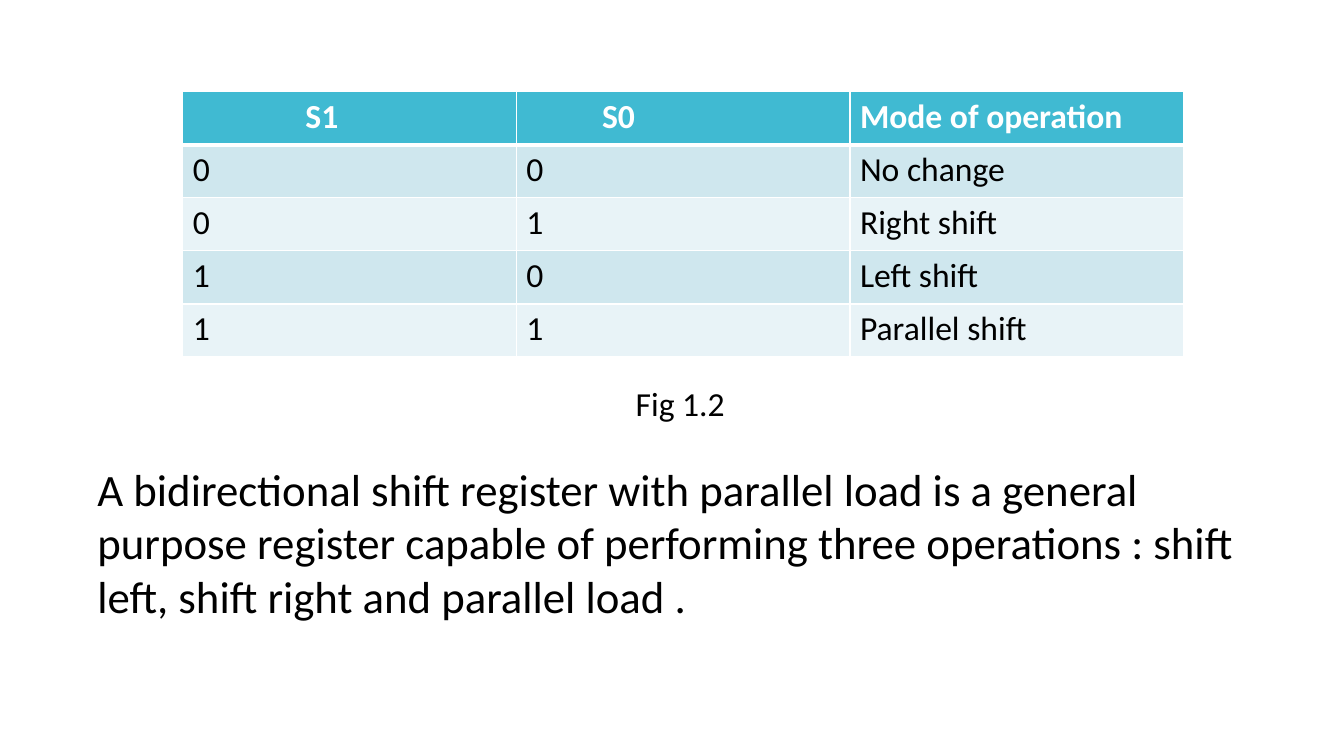
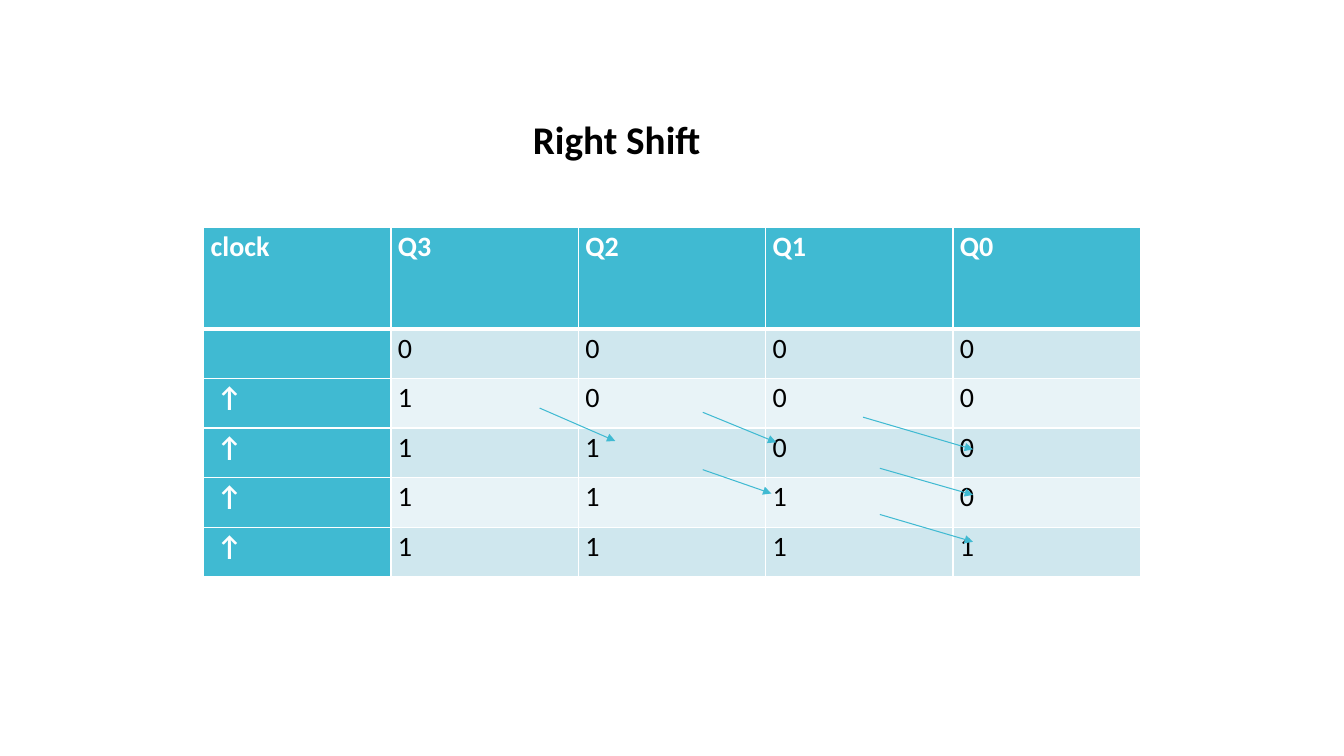
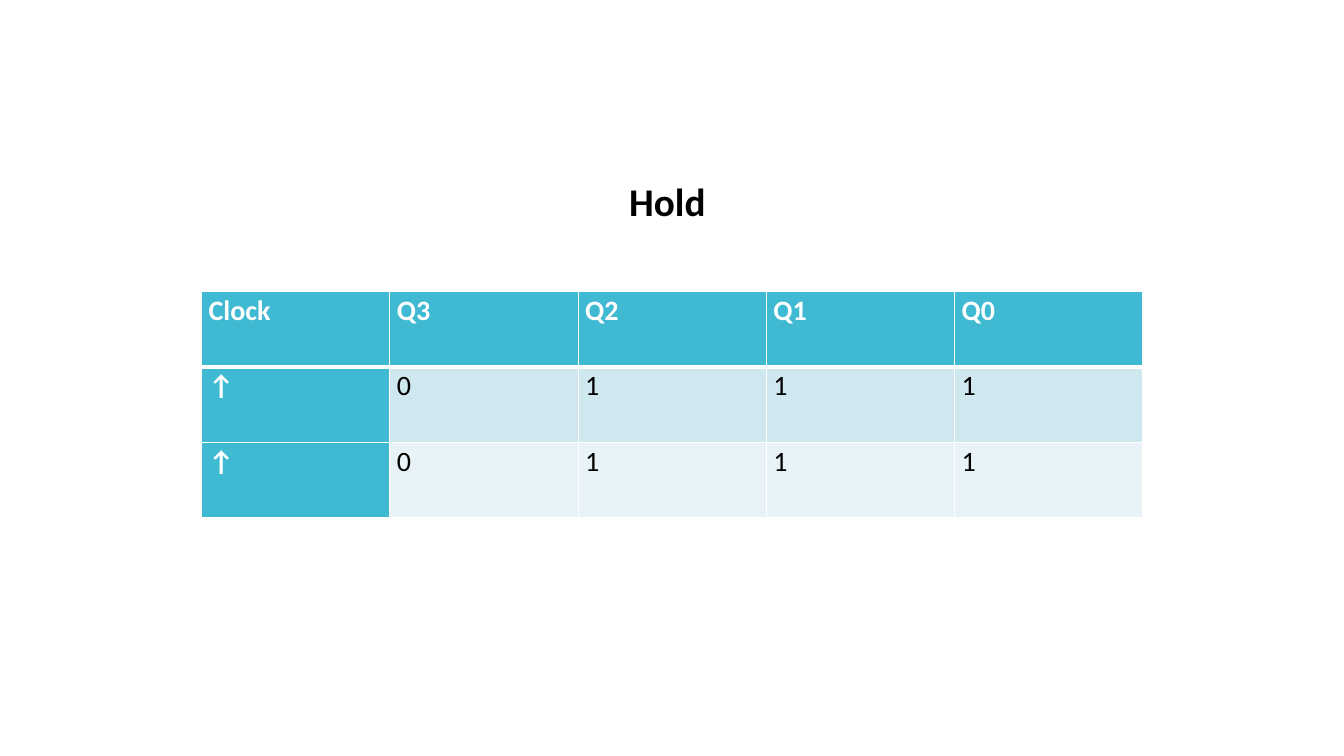
from lxml import etree
from pptx import Presentation
from pptx.dml.color import RGBColor
from pptx.enum.shapes import MSO_CONNECTOR
from pptx.enum.text import MSO_ANCHOR, MSO_AUTO_SIZE, PP_ALIGN
from pptx.oxml.ns import qn
from pptx.util import Pt

STRAIGHT = MSO_CONNECTOR.STRAIGHT
TOP = MSO_ANCHOR.TOP
FIT_SHAPE = MSO_AUTO_SIZE.SHAPE_TO_FIT_TEXT
LEFT, CENTER = PP_ALIGN.LEFT, PP_ALIGN.CENTER

TITLE_ONLY, BLANK = 5, 6
COLORS = {
    "text": "000000",
    "white": "FFFFFF",
    "accent": "40BAD2",
    "band_dark": "CFE7EE",
    "band_light": "E8F3F7",
}
FONT = "Calibri"
RULE, HEADER_RULE = 1, 3

MODE_ROWS = [
    ("S1", "S0", "Mode of operation"),
    ("0", "0", "No change"),
    ("0", "1", "Right shift"),
    ("1", "0", "Left shift"),
    ("1", "1", "Parallel shift"),
]
RIGHT_SHIFT_ROWS = [
    ("clock", "Q3", "Q2", "Q1", "Q0"),
    ("", "0", "0", "0", "0"),
    ("↑", "1", "0", "0", "0"),
    ("↑", "1", "1", "0", "0"),
    ("↑", "1", "1", "1", "0"),
    ("↑", "1", "1", "1", "1"),
]
HOLD_ROWS = [
    ("Clock", "Q3", "Q2", "Q1", "Q0"),
    ("↑", "0", "1", "1", "1"),
    ("↑", "0", "1", "1", "1"),
]
# Start and end of each shift arrow, measured from the table's corner.
SHIFT_ARROWS = [
    (240, 129, 294, 152.5),
    (356.5, 132, 409, 153.5),
    (471, 135.5, 549.5, 158.5),
    (483, 205, 549.5, 224.5),
    (483, 172, 549.5, 191),
    (356.5, 173, 405.5, 190),
]

MODE_STYLE = {"size": 24, "margins": (7.2, 3.6), "spacing": 1.0,
              "label_column": False}
STATE_STYLE = {"size": 20, "margins": (5, 0), "spacing": 1.07,
               "label_column": True}


def color(name):
    return RGBColor.from_string(COLORS[name])


def write(paragraph, text, size, color_name="text", bold=False):
    run = paragraph.add_run()
    run.text = text
    font_format = {"name": FONT, "size": Pt(size), "bold": bold}
    for attribute, value in font_format.items():
        setattr(run.font, attribute, value)
    run.font.color.rgb = color(color_name)


def place(shape, box):
    for attribute, value in zip(("left", "top", "width", "height"), box):
        setattr(shape, attribute, Pt(value))


def fill_frame(shape, text, size, alignment=LEFT, bold=False):
    frame = shape.text_frame
    frame_format = {"word_wrap": True, "auto_size": FIT_SHAPE,
                    "vertical_anchor": TOP}
    for attribute, value in frame_format.items():
        setattr(frame, attribute, value)
    paragraph = frame.paragraphs[0]
    paragraph.alignment = alignment
    write(paragraph, text, size, bold=bold)


def add_text(slide, box, text, size):
    shape = slide.shapes.add_textbox(*map(Pt, box))
    fill_frame(shape, text, size)


def add_titled_slide(presentation, box, text, alignment):
    slide = presentation.slides.add_slide(
        presentation.slide_layouts[TITLE_ONLY])
    title = slide.shapes.title
    place(title, box)
    fill_frame(title, text, 28, alignment, bold=True)
    return slide


def set_borders(cell, widths):
    """Draw white borders; widths are left, right, top, bottom."""
    properties = cell._tc.get_or_add_tcPr()
    for index, (side, width) in enumerate(zip("LRTB", widths)):
        line = etree.Element(qn(f"a:ln{side}"), w=str(Pt(width)))
        fill = etree.SubElement(line, qn("a:solidFill"))
        etree.SubElement(fill, qn("a:srgbClr"), val=COLORS["white"])
        properties.insert(index, line)


def format_cell(cell, text, row, column, style, indent):
    is_label = row == 0 or (style["label_column"] and column == 0)
    band = "band_dark" if row % 2 else "band_light"
    cell.fill.solid()
    cell.fill.fore_color.rgb = color("accent" if is_label else band)
    set_borders(cell, (RULE, RULE,
                       HEADER_RULE if row == 1 else RULE,
                       HEADER_RULE if row == 0 else RULE))
    side, edge = style["margins"]
    margins = {"margin_left": side + indent, "margin_right": side,
               "margin_top": edge, "margin_bottom": edge}
    for attribute, value in margins.items():
        setattr(cell, attribute, Pt(value))
    paragraph = cell.text_frame.paragraphs[0]
    paragraph.line_spacing = style["spacing"]
    if text:
        write(paragraph, text, style["size"],
              "white" if is_label else "text", is_label)


def add_grid(slide, box, rows, style, header_height=None, indents=None):
    """Add a table with equal columns; indents maps (row, column) to points."""
    left, top, width, height = box
    header_height = header_height or height / len(rows)
    row_height = (height - header_height) / (len(rows) - 1)
    frame = slide.shapes.add_table(len(rows), len(rows[0]), *map(Pt, box))
    table = frame.table
    table.horz_banding = False
    for column in table.columns:
        column.width = Pt(width / len(rows[0]))
    for row_index, values in enumerate(rows):
        table.rows[row_index].height = Pt(
            row_height if row_index else header_height)
        for column_index, text in enumerate(values):
            indent = (indents or {}).get((row_index, column_index), 0)
            format_cell(table.cell(row_index, column_index), text,
                        row_index, column_index, style, indent)


def add_arrow(slide, box, ends):
    left, top = box[:2]
    start_x, start_y, end_x, end_y = ends
    arrow = slide.shapes.add_connector(
        STRAIGHT, Pt(left + start_x), Pt(top + start_y),
        Pt(left + end_x), Pt(top + end_y))
    arrow.line.width = Pt(0.75)
    arrow.line.color.rgb = color("accent")
    etree.SubElement(arrow.line._get_or_add_ln(), qn("a:tailEnd"),
                     type="triangle")
    etree.SubElement(arrow._element.spPr, qn("a:effectLst"))


def add_mode_slide(presentation):
    slide = presentation.slides.add_slide(presentation.slide_layouts[BLANK])
    add_text(slide, (62.5, 326, 834.5, 124),
             "A bidirectional shift register with parallel load is a general "
             "purpose register capable of performing three operations : "
             "shift left, shift right and parallel load .", 32)
    add_text(slide, (447, 270, 98.5, 36), "Fig 1.2", 24)
    add_grid(slide, (130.5, 65.5, 715, 189.5), MODE_ROWS, MODE_STYLE,
             indents={(0, 0): 80.5, (0, 1): 54})


def add_right_shift_slide(presentation):
    slide = add_titled_slide(presentation, (373.5, 79, 308, 41),
                             "Right Shift", LEFT)
    box = (145.5, 162.5, 669, 249.5)
    arrow_indents = {(row, 0): 4.5 for row in range(2, len(RIGHT_SHIFT_ROWS))}
    add_grid(slide, box, RIGHT_SHIFT_ROWS, STATE_STYLE, header_height=72.5,
             indents=arrow_indents)
    for ends in SHIFT_ARROWS:
        add_arrow(slide, box, ends)


def add_hold_slide(presentation):
    slide = add_titled_slide(presentation, (347.5, 123, 258.5, 41),
                             "Hold", CENTER)
    add_grid(slide, (144, 208, 672.5, 162), HOLD_ROWS, STATE_STYLE)


def main():
    presentation = Presentation()
    presentation.slide_width, presentation.slide_height = Pt(960), Pt(540)
    add_mode_slide(presentation)
    add_right_shift_slide(presentation)
    add_hold_slide(presentation)
    presentation.save("out.pptx")


if __name__ == "__main__":
    main()
